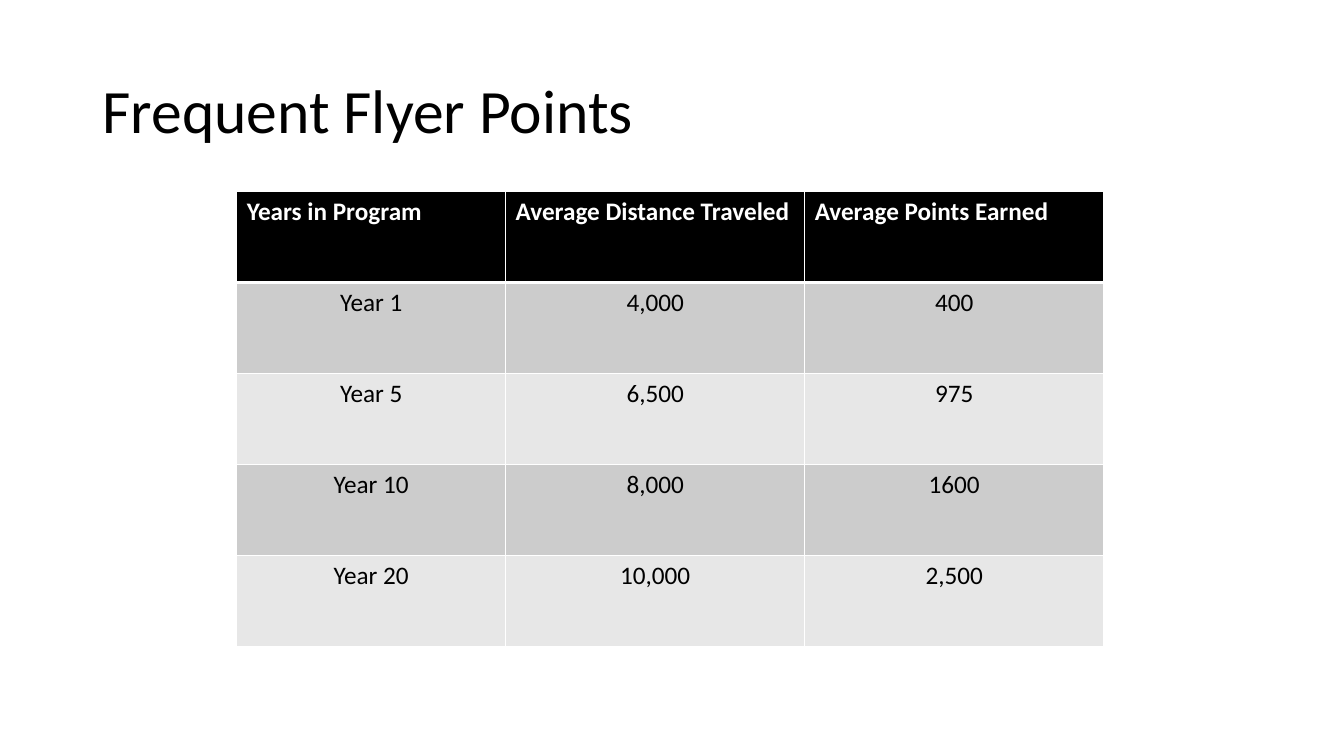
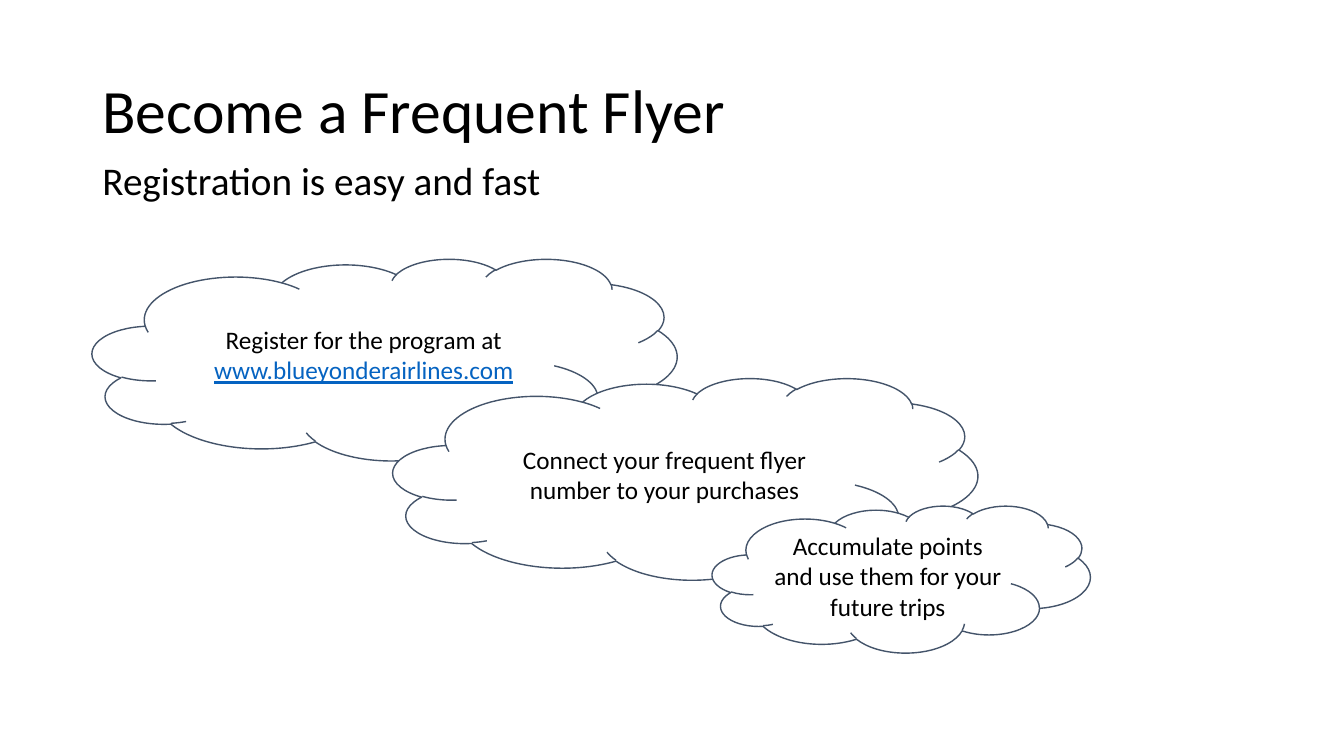
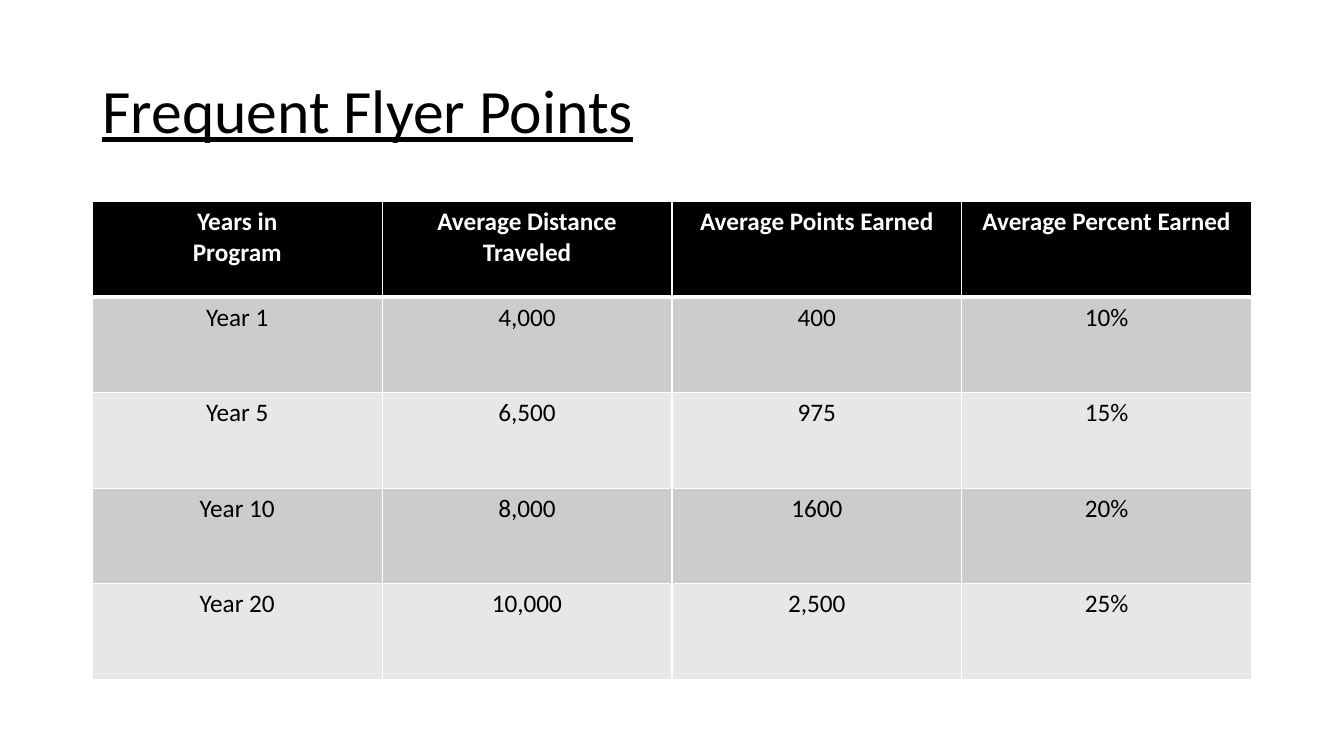
"""Build the three frequent flyer slides."""
from lxml import etree
from pptx import Presentation
from pptx.dml.color import RGBColor
from pptx.enum.shapes import MSO_SHAPE
from pptx.enum.text import MSO_ANCHOR, MSO_AUTO_SIZE, PP_ALIGN
from pptx.oxml.ns import qn
from pptx.util import Inches, Pt

CLOUD = MSO_SHAPE.CLOUD
LEFT, CENTER = PP_ALIGN.LEFT, PP_ALIGN.CENTER
TOP, MIDDLE = MSO_ANCHOR.TOP, MSO_ANCHOR.MIDDLE
NO_FIT = MSO_AUTO_SIZE.NONE

BLACK = RGBColor(0x00, 0x00, 0x00)
WHITE = RGBColor(0xFF, 0xFF, 0xFF)
SLATE = RGBColor(0x44, 0x54, 0x6A)
LINK_BLUE = RGBColor(0x05, 0x63, 0xC1)
BANDS = (RGBColor(0xCC, 0xCC, 0xCC), RGBColor(0xE7, 0xE7, 0xE7))

FONT = "Calibri"
COLUMNS, ROWS = 160, 90
MARGIN, CONTENT = 11, 138
TITLE_ONLY, TITLE_AND_BODY = 5, 1
THIN, THICK = 1, 3


def grid(*cells):
    """Turn grid cells, twelve to the inch, into lengths."""
    return [Inches(cell / 12) for cell in cells]


class Deck:
    """Hold the shared style and the current slide."""

    def __init__(self):
        """Start an empty wide presentation."""
        self.file = Presentation()
        self.file.slide_width, self.file.slide_height = grid(COLUMNS, ROWS)
        self.page = None

    def style(self, para, size, color=BLACK, align=LEFT, bold=False):
        """Format a whole paragraph."""
        para.alignment = align
        para.space_before = Pt(0)
        font = para.font
        font.name, font.size, font.bold = FONT, Pt(size), bold
        font.color.rgb = color

    def fill_placeholder(self, box, place, text, size, spacing, anchor):
        """Move a placeholder and write its single paragraph."""
        box.left, box.top, box.width, box.height = grid(*place)
        frame = box.text_frame
        frame.text = text
        frame.auto_size, frame.vertical_anchor = NO_FIT, anchor
        para = frame.paragraphs[0]
        para.line_spacing = spacing
        return para

    def add_page(self, title, layout=TITLE_ONLY, underline=False):
        """Add a slide with its title."""
        self.page = self.file.slides.add_slide(self.file.slide_layouts[layout])
        place = (MARGIN, 4.8, CONTENT, 17.4)
        para = self.fill_placeholder(self.page.shapes.title, place, title, 44, 0.9, MIDDLE)
        self.style(para, 44)
        para.font.underline = underline

    def subtitle(self, text):
        """Write the line below the title in the body placeholder."""
        place = (MARGIN, 19.1, 57.6, 6.1)
        para = self.fill_placeholder(self.page.placeholders[1], place, text, 28, 0.8, TOP)
        properties = para._p.get_or_add_pPr()
        properties.set("marL", "0")
        properties.set("indent", "0")
        etree.SubElement(properties, qn("a:buNone"))
        self.style(para, 28)

    def cloud(self, place, text, link=""):
        """Add a cloud with centred text and an optional address."""
        shape = self.page.shapes.add_shape(CLOUD, *grid(*place))
        shape.shadow.inherit = False
        shape.fill.solid()
        shape.fill.fore_color.rgb = WHITE
        shape.line.color.rgb = SLATE
        shape.line.width = Pt(1)
        frame = shape.text_frame
        frame.word_wrap, frame.vertical_anchor = True, MIDDLE
        para = frame.paragraphs[0]
        para.add_run().text = text
        self.style(para, 18, align=CENTER)
        if link:
            span = para.add_run()
            span.text = link
            span.font.underline = True
            span.font.color.rgb = LINK_BLUE

    def borders(self, cell, top, bottom):
        """Draw the four white edges of a cell."""
        properties = cell._tc.get_or_add_tcPr()
        for side, width in (("L", THIN), ("R", THIN), ("T", top), ("B", bottom)):
            edge = etree.SubElement(properties, qn(f"a:ln{side}"), w=str(Pt(width)))
            paint = etree.SubElement(edge, qn("a:solidFill"))
            etree.SubElement(paint, qn("a:srgbClr"), val=str(WHITE))

    def table(self, left, top, widths, row_height, records, header_align):
        """Add a banded table with a black header."""
        place = grid(left, top, sum(widths), row_height * len(records))
        table = self.page.shapes.add_table(len(records), len(widths), *place).table
        table.first_row = table.horz_banding = False
        for column, width in zip(table.columns, grid(*widths)):
            column.width = width
        for index, record in enumerate(records):
            table.rows[index].height = grid(row_height)[0]
            header = index == 0
            for cell, text in zip(table.rows[index].cells, record):
                self.borders(cell, THICK if index == 1 else THIN, THICK if header else THIN)
                cell.fill.solid()
                cell.fill.fore_color.rgb = BLACK if header else BANDS[(index - 1) % 2]
                cell.text = text
                for para in cell.text_frame.paragraphs:
                    if header:
                        self.style(para, 18, WHITE, header_align, True)
                    else:
                        self.style(para, 18, align=CENTER)


def main():
    """Build and save the slides."""
    headings = ("Average Distance Traveled", "Average Points Earned")
    records = [
        ("Year 1", "4,000", "400"),
        ("Year 5", "6,500", "975"),
        ("Year 10", "8,000", "1600"),
        ("Year 20", "10,000", "2,500"),
    ]
    percents = ("10%", "15%", "20%", "25%")

    deck = Deck()
    deck.add_page("Frequent Flyer Points")
    deck.table(28.2, 22.8, (32, 35.6, 35.6), 10.84,
               [("Years in Program", *headings), *records], LEFT)

    deck.add_page("Become a Frequent Flyer", TITLE_AND_BODY)
    deck.subtitle("Registration is easy and fast")
    deck.cloud((MARGIN, 30.8, 69.6, 24), "Register for the program at ",
               "www.blueyonderairlines.com")
    deck.cloud((46.8, 45, 69.6, 24), "Connect your frequent flyer number to your purchases")
    deck.cloud((84.8, 60.2, 45, 17.5), "Accumulate points and use them for your future trips")

    deck.add_page("Frequent Flyer Points", underline=True)
    extended = [(*record, percent) for record, percent in zip(records, percents)]
    deck.table(MARGIN, 24, [CONTENT / 4] * 4, 11.38,
               [("Years in\nProgram", *headings, "Average Percent Earned"), *extended], CENTER)
    deck.file.save("out.pptx")


if __name__ == "__main__":
    main()
